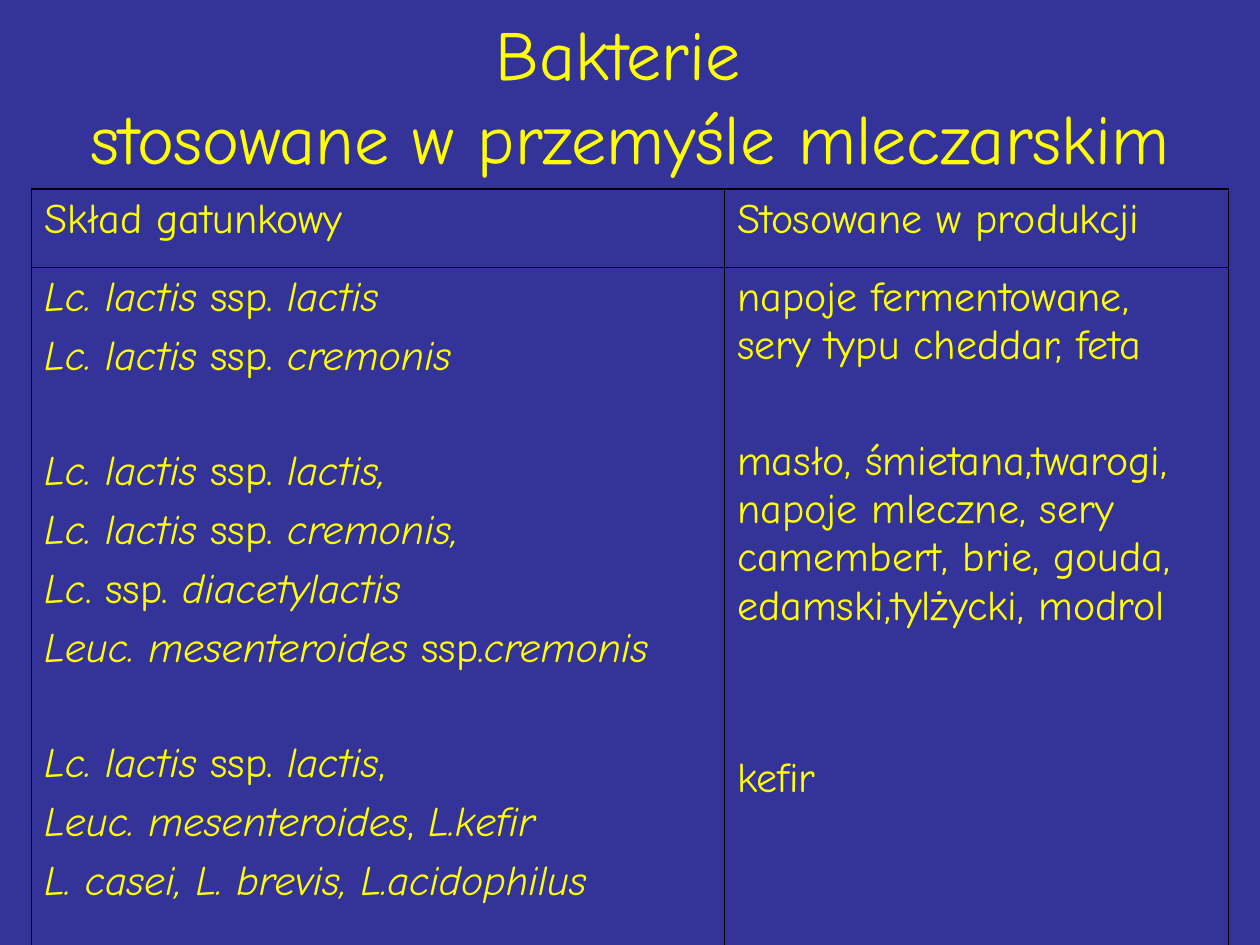
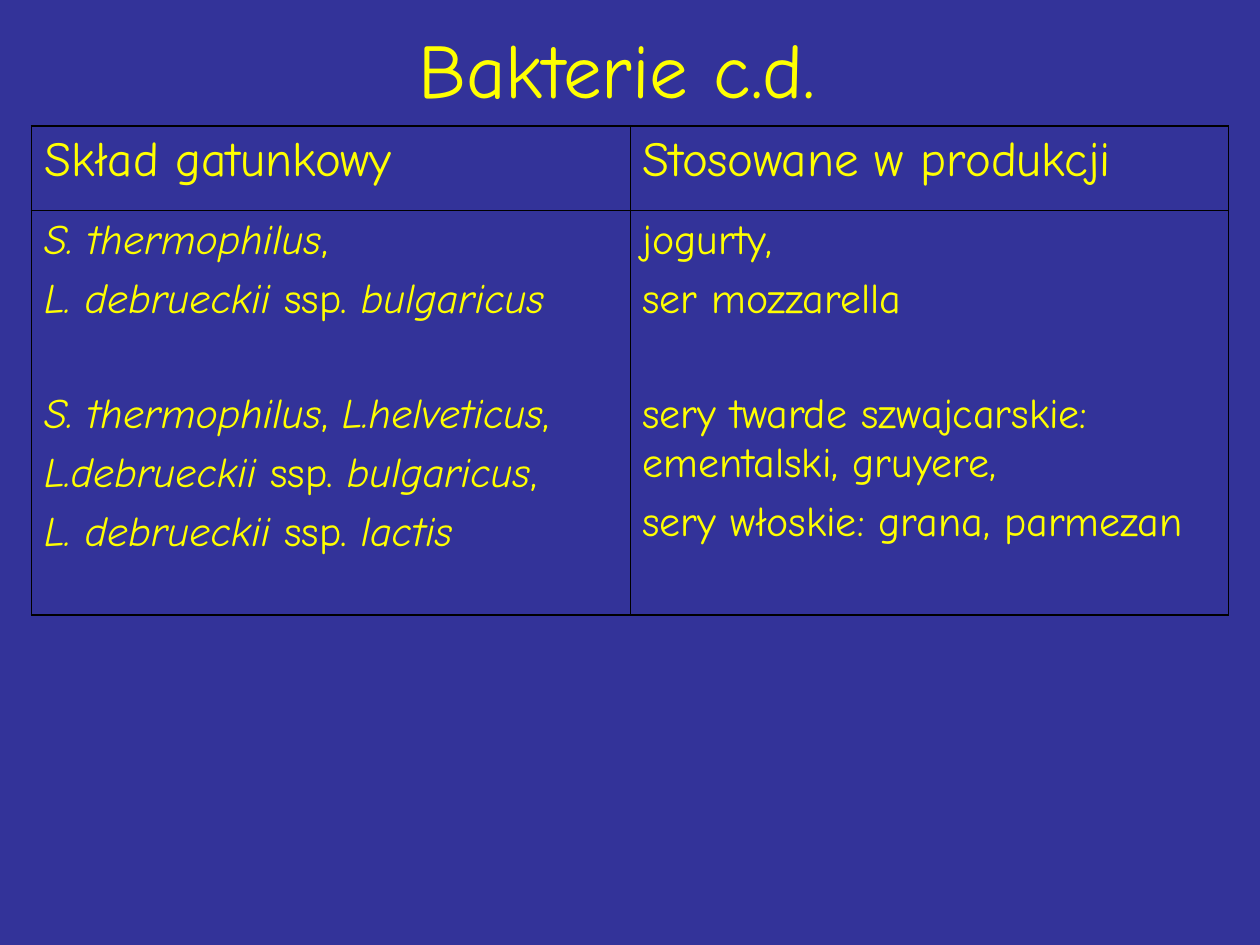
"""Builds two slides on the bacteria used in dairy production."""
from lxml import etree
from pptx import Presentation
from pptx.dml.color import RGBColor
from pptx.enum.text import MSO_ANCHOR, MSO_AUTO_SIZE, PP_ALIGN
from pptx.oxml.ns import qn
from pptx.util import Inches, Pt

CENTER, LEFT = PP_ALIGN.CENTER, PP_ALIGN.LEFT
MIDDLE = MSO_ANCHOR.MIDDLE
NO_AUTOFIT = MSO_AUTO_SIZE.NONE

NAVY = RGBColor(0x33, 0x33, 0x99)
YELLOW = RGBColor(0xFF, 0xFF, 0x00)
BLACK = RGBColor(0x00, 0x00, 0x00)
FONT = "Comic Neue"
BODY_SIZE = 24
BODY_SPACING = 6
GROUP_GAP = 32.5
OUTER_LINE, INNER_LINE = Pt(1.08), Pt(0.45)
HEADINGS = ["Skład gatunkowy", "Stosowane w produkcji"]

SLIDES = [
    {
        "title": ["Bakterie ", "stosowane w przemyśle mleczarskim"],
        "title_box": (0, 1, 40, 4),
        "title_size": 40,
        "table_top": 6,
        "columns": [22, 16],
        "rows": [2.48, 22.04],
        "heading_size": 24,
        "heading_spacing": 6,
        "species": [
            (0, ["*Lc. lactis* ssp. *lactis*", "*Lc. lactis* ssp. *cremonis*"]),
            (1, ["*Lc. lactis* ssp. *lactis,*",
                 "*Lc. lactis* ssp. *cremonis,*",
                 "*Lc*. ssp. *diacetylactis*",
                 "*Leuc. mesenteroides* ssp.*cremonis*"]),
            (1, ["*Lc. lactis* ssp. *lactis*,",
                 "*Leuc. mesenteroides*, *L.kefir*",
                 "*L. casei, L. brevis, L.acidophilus*"]),
        ],
        "products": [
            (0, ["napoje fermentowane, sery typu cheddar, feta"]),
            (1, ["masło, śmietana,twarogi, napoje mleczne, sery camembert, "
                 "brie, gouda, edamski,tylżycki, modrol"]),
            (2, ["kefir"]),
        ],
    },
    {
        "title": ["Bakterie c.d. "],
        "title_box": (3, 1, 34, 2.32),
        "title_size": 44,
        "table_top": 4,
        "columns": [19, 19],
        "rows": [2.68, 12.84],
        "heading_size": 28,
        "heading_spacing": 7,
        "species": [
            (0, ["*S. thermophilus*,", "*L. debrueckii* ssp. *bulgaricus*"]),
            (1, ["*S. thermophilus*, *L.helveticus*,",
                 "*L.debrueckii* ssp. *bulgaricus*,",
                 "*L. debrueckii* ssp. *lactis*"]),
        ],
        "products": [
            (0, ["jogurty,", "ser mozzarella"]),
            (1, ["sery twarde szwajcarskie: ementalski, gruyere,",
                 "sery włoskie: grana, parmezan"]),
        ],
    },
]


def write(paragraph, text, size=BODY_SIZE, spacing=0, alignment=LEFT):
    paragraph.alignment = alignment
    paragraph.space_before = Pt(spacing)
    for index, part in enumerate(text.split("*")):
        if part:
            run = paragraph.add_run()
            run.text = part
            run.font.name = FONT
            run.font.size = Pt(size)
            run.font.color.rgb = YELLOW
            run.font.italic = index % 2 == 1


def set_border(cell, side, width):
    properties = cell._tc.get_or_add_tcPr()
    line = etree.SubElement(properties, qn(f"a:ln{side}"), w=str(width))
    fill = etree.SubElement(line, qn("a:solidFill"))
    etree.SubElement(fill, qn("a:srgbClr"), val=str(BLACK))


presentation = Presentation()
presentation.slide_width = Inches(10)
presentation.slide_height = Inches(7.5)
COLUMN = presentation.slide_width / 40
ROW = presentation.slide_height / 30
background = presentation.slide_master.background.fill
background.solid()
background.fore_color.rgb = NAVY
title_only = presentation.slide_layouts[5]

for content in SLIDES:
    slide = presentation.slides.add_slide(title_only)

    title = slide.shapes.title
    left, top, width, height = content["title_box"]
    title.left, title.top = int(left * COLUMN), int(top * ROW)
    title.width, title.height = int(width * COLUMN), int(height * ROW)
    title.text_frame.auto_size = NO_AUTOFIT
    title.text_frame.vertical_anchor = MIDDLE
    paragraph = title.text_frame.paragraphs[0]
    for index, line in enumerate(content["title"]):
        if index:
            paragraph.add_line_break()
        write(paragraph, line, size=content["title_size"], alignment=CENTER)

    table = slide.shapes.add_table(
        2, 2, int(COLUMN), int(content["table_top"] * ROW),
        int(38 * COLUMN), int(sum(content["rows"]) * ROW)).table
    table.first_row = False
    table.horz_banding = False
    for column, width in zip(table.columns, content["columns"]):
        column.width = int(width * COLUMN)
    for row, height in zip(table.rows, content["rows"]):
        row.height = int(height * ROW)

    for index, heading in enumerate(HEADINGS):
        write(table.cell(0, index).text_frame.paragraphs[0], heading,
              size=content["heading_size"], spacing=content["heading_spacing"])

    for index, groups in enumerate([content["species"], content["products"]]):
        text_frame = table.cell(1, index).text_frame
        paragraph = text_frame.paragraphs[0]
        for gaps, lines in groups:
            for position, line in enumerate(lines):
                if paragraph.runs:
                    paragraph = text_frame.add_paragraph()
                gap = gaps * GROUP_GAP if position == 0 else 0
                write(paragraph, line, spacing=BODY_SPACING + gap)

    for row in range(2):
        for column in range(2):
            cell = table.cell(row, column)
            outer_sides = "LR"[column] + "TB"[row]
            for side in "LRTB":
                set_border(cell, side, OUTER_LINE if side in outer_sides else INNER_LINE)
            cell.fill.background()

presentation.save("out.pptx")
